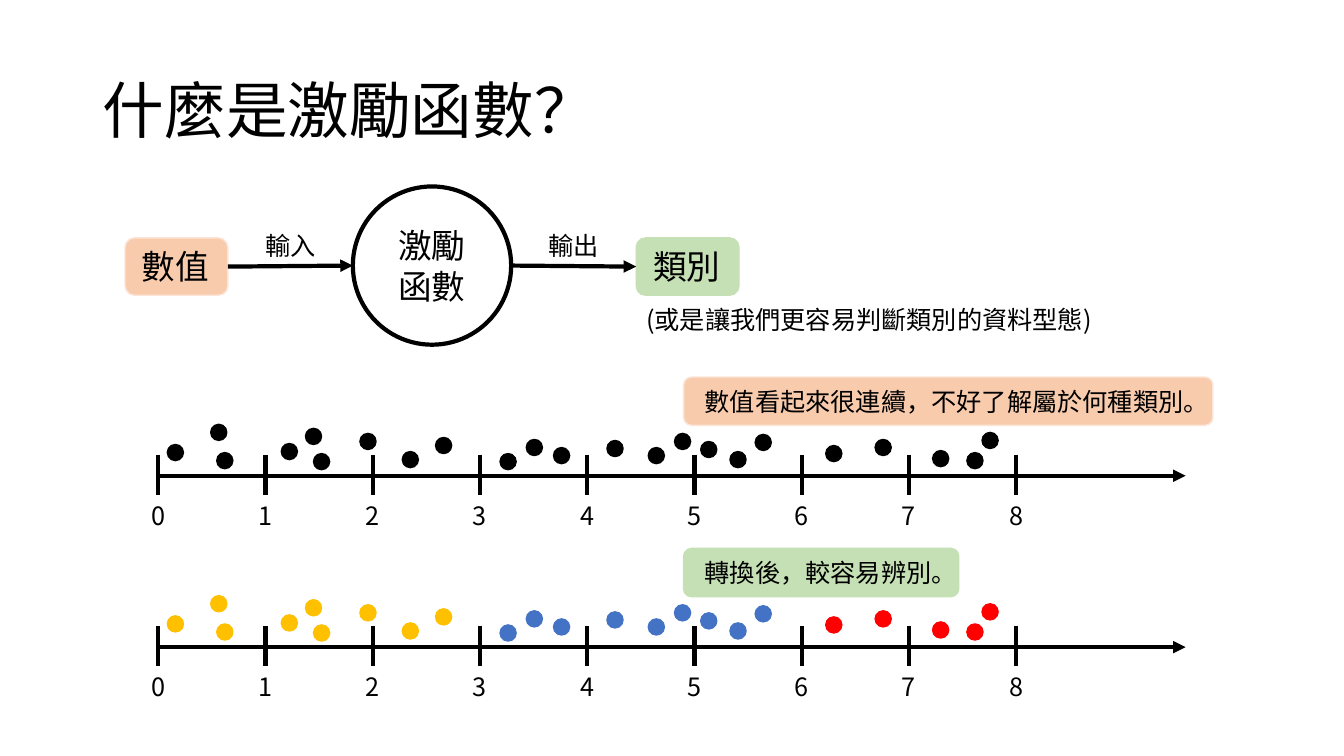
from lxml.etree import SubElement
from pptx import Presentation
from pptx.dml.color import RGBColor
from pptx.enum.shapes import MSO_CONNECTOR, MSO_SHAPE
from pptx.enum.text import MSO_ANCHOR, MSO_AUTO_SIZE, PP_ALIGN
from pptx.oxml.ns import qn
from pptx.util import Inches, Pt

FONT = "Noto Sans CJK SC"
BLACK = RGBColor(0x00, 0x00, 0x00)
WHITE = RGBColor(0xFF, 0xFF, 0xFF)
ORANGE = RGBColor(0xF8, 0xCB, 0xAD)
PALE_ORANGE = RGBColor(0xFB, 0xE5, 0xD6)
GREEN = RGBColor(0xC5, 0xE0, 0xB4)
YELLOW = RGBColor(0xFF, 0xC0, 0x00)
BLUE = RGBColor(0x44, 0x72, 0xC4)
RED = RGBColor(0xFF, 0x00, 0x00)

TICK_COUNT = 9
TICK_STEP = 8.51 / (TICK_COUNT - 1)
TICKS_PER_CLASS = 3
DOT_SIZE = 0.16
# Dot centres: distance along the axis and height above it, in inches
DOTS = [
    (0.60, 0.43), (0.17, 0.23), (1.30, 0.24), (1.54, 0.39), (0.66, 0.15),
    (1.62, 0.14), (2.08, 0.34), (2.50, 0.16), (2.83, 0.30), (3.47, 0.14),
    (3.73, 0.28), (4.00, 0.20), (4.53, 0.27), (4.94, 0.20), (5.20, 0.34),
    (5.46, 0.26), (6.00, 0.33), (5.75, 0.16), (6.70, 0.22), (7.19, 0.28),
    (7.76, 0.17), (8.25, 0.35), (8.10, 0.15),
]


def inches(*lengths):
    return [Inches(length) for length in lengths]


def write_text(text_frame, text, size, align=PP_ALIGN.LEFT):
    text_frame.text = text
    paragraph = text_frame.paragraphs[0]
    paragraph.alignment = align
    for run in paragraph.runs:
        for name, value in {"name": FONT, "size": Pt(size)}.items():
            setattr(run.font, name, value)
        run.font.color.rgb = BLACK
        # East Asian glyphs take their typeface from a:ea
        SubElement(run.font._element, qn("a:ea")).set("typeface", FONT)


def add_label(slide, box, text, size, wrap=False):
    text_frame = slide.shapes.add_textbox(*inches(*box)).text_frame
    text_frame.word_wrap = wrap
    text_frame.auto_size = MSO_AUTO_SIZE.SHAPE_TO_FIT_TEXT
    write_text(text_frame, text, size)


def add_filled(slide, preset, box, fill, line, line_width=1):
    shape = slide.shapes.add_shape(preset, *inches(*box))
    shape.shadow.inherit = False
    shape.fill.solid()
    shape.fill.fore_color.rgb = fill
    shape.line.color.rgb = line
    shape.line.width = Pt(line_width)
    return shape


def add_line(slide, start, end, arrow=False):
    connector = slide.shapes.add_connector(
        MSO_CONNECTOR.STRAIGHT, *inches(*start, *end))
    connector.line.color.rgb = BLACK
    connector.line.width = Pt(3)
    if arrow:
        SubElement(connector.line._get_or_add_ln(), qn("a:tailEnd")).set("type", "triangle")
    SubElement(connector._element.spPr, qn("a:effectLst"))


def add_tag(slide, box, text, size, fill, line, indent, text_width, text_height):
    """Rounded colour block with a vertically centred label."""
    left, top, _, height = box
    add_filled(slide, MSO_SHAPE.ROUNDED_RECTANGLE, box, fill, line)
    label_top = top + (height - text_height) / 2
    add_label(slide, (left + indent, label_top, text_width, text_height), text, size)


def add_title(slide, box):
    title = slide.shapes.title
    for name, length in zip(("left", "top", "width", "height"), inches(*box)):
        setattr(title, name, length)
    title.text_frame.vertical_anchor = MSO_ANCHOR.MIDDLE
    write_text(title.text_frame, "什麼是激勵函數？", 44)
    title.text_frame.paragraphs[0].line_spacing = 0.9


def add_function_flow(slide, box):
    """Value, activation function and class, joined by two arrows."""
    left, top, width, height = box
    tag_width, tag_height = 1.02, 0.57
    tag_top = top + 0.51
    middle = top + height / 2
    circle_left = left + (width - height) / 2
    circle_right = circle_left + height
    class_left = left + width - tag_width

    circle = add_filled(slide, MSO_SHAPE.OVAL, (circle_left, top, height, height),
                        WHITE, BLACK, 3)
    circle.text_frame.vertical_anchor = MSO_ANCHOR.MIDDLE
    write_text(circle.text_frame, "激勵\v函數", 24, PP_ALIGN.CENTER)

    for tag_left, text, fill, line in (
        (left, "數值", ORANGE, PALE_ORANGE),
        (class_left, "類別", GREEN, GREEN),
    ):
        add_tag(slide, (tag_left, tag_top, tag_width, tag_height), text, 24,
                fill, line, 0.07, 0.88, 0.5)

    tag_middle = tag_top + tag_height / 2
    add_line(slide, (left + tag_width, tag_middle), (circle_left, middle), True)
    add_line(slide, (circle_right, middle), (class_left, tag_middle), True)
    for arrow_left, text in ((left + tag_width, "輸入"), (circle_right, "輸出")):
        add_label(slide, (arrow_left + 0.27, top + 0.39, 0.71, 0.4), text, 18)
    add_label(slide, (class_left, top + 1.12, 4.68, 0.4),
              "(或是讓我們更容易判斷類別的資料型態)", 18, wrap=True)


def add_number_line(slide, box, note, note_width, note_fill, note_line, class_colors):
    """Axis with scattered dots, coloured by class, and a note above it."""
    left, top, width, _ = box
    axis = top + 0.98
    add_tag(slide, (left + 5.21, top, note_width, 0.48), note, 18,
            note_fill, note_line, 0.11, note_width, 0.4)
    add_line(slide, (left, axis), (left + width, axis), True)
    for number in range(TICK_COUNT):
        tick = left + number * TICK_STEP
        add_line(slide, (tick, axis - 0.21), (tick, axis + 0.19))
        add_label(slide, (tick - 0.17, axis + 0.19, 0.34, 0.4), str(number), 18, wrap=True)
    for along, rise in DOTS:
        color = class_colors[int(along / TICK_STEP) // TICKS_PER_CLASS]
        dot_box = (left + along - DOT_SIZE / 2, axis - rise - DOT_SIZE / 2,
                   DOT_SIZE, DOT_SIZE)
        add_filled(slide, MSO_SHAPE.OVAL, dot_box, color, color)


def main():
    presentation = Presentation()
    presentation.slide_width, presentation.slide_height = inches(13.33, 7.5)
    slide = presentation.slides.add_slide(presentation.slide_layouts[5])
    add_title(slide, (0.92, 0.4, 11.5, 1.45))
    add_function_flow(slide, (1.24, 1.85, 6.09, 1.57))
    add_number_line(slide, (1.57, 3.74, 10.19, 1.57),
                    "數值看起來很連續，不好了解屬於何種類別。", 5.25,
                    ORANGE, PALE_ORANGE, (BLACK, BLACK, BLACK))
    add_number_line(slide, (1.57, 5.44, 10.19, 1.57),
                    "轉換後，較容易辨別。", 2.73,
                    GREEN, GREEN, (YELLOW, BLUE, RED))
    presentation.save("out.pptx")


if __name__ == "__main__":
    main()
